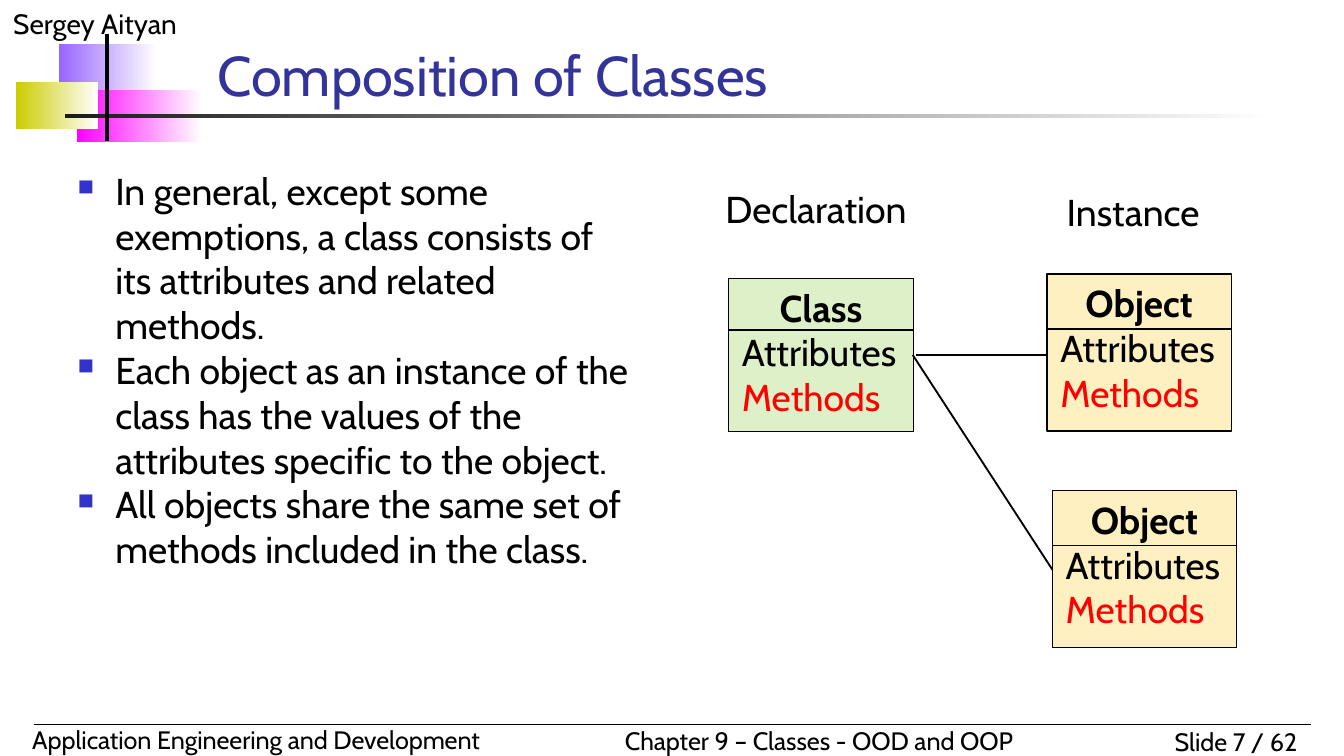
import pptx
import pptx.dml.color
import pptx.enum.shapes
import pptx.enum.text
import pptx.oxml.ns
import pptx.util
import lxml.etree

Cm, Pt = pptx.util.Cm, pptx.util.Pt
ALIGN = pptx.enum.text.PP_ALIGN
ANCHOR = pptx.enum.text.MSO_ANCHOR
RECTANGLE = pptx.enum.shapes.MSO_SHAPE.RECTANGLE
STRAIGHT = pptx.enum.shapes.MSO_CONNECTOR.STRAIGHT

FONT = "Cabin"
BLACK, RED, INDIGO, BLUE = "000000", "FF0000", "333399", "3333CC"
GREEN, CREAM = "DDF0C8", "FFF0C1"


def color(hex_text):
    return pptx.dml.color.RGBColor.from_string(hex_text)


def lengths(box):
    return [Cm(value) for value in box]


def add_span(para, text, size, ink=BLACK, bold=False):
    span = para.add_run()
    span.text = text
    span.font.name = FONT
    span.font.size = Pt(size)
    span.font.bold = bold
    span.font.color.rgb = color(ink)


def add_label(page, box, text, size, ink=BLACK, align=ALIGN.LEFT,
              anchor=ANCHOR.TOP, wrap=True):
    frame = page.shapes.add_textbox(*lengths(box)).text_frame
    frame.word_wrap = wrap
    frame.vertical_anchor = anchor
    frame.paragraphs[0].alignment = align
    add_span(frame.paragraphs[0], text, size, ink)


def add_line(page, start, end, width=1):
    line = page.shapes.add_connector(STRAIGHT, *lengths(start + end))
    line.line.color.rgb = color(BLACK)
    line.line.width = Pt(width)
    lxml.etree.SubElement(line._element.spPr, pptx.oxml.ns.qn("a:effectLst"))


def add_fade(page, box, start_color):
    """Bar that fades to white from left to right."""
    bar = page.shapes.add_shape(RECTANGLE, *lengths(box))
    bar.shadow.inherit = False
    bar.line.fill.background()
    bar.fill.gradient()
    bar.fill.gradient_angle = 0
    for stop, ink in zip(bar.fill.gradient_stops, (start_color, "FFFFFF")):
        stop.color.rgb = color(ink)


def add_bullet(para):
    props = para._p.get_or_add_pPr()
    indent = Cm(0.71)
    props.set("marL", str(indent))
    props.set("indent", str(-indent))
    bullet_color = lxml.etree.SubElement(props, pptx.oxml.ns.qn("a:buClr"))
    lxml.etree.SubElement(bullet_color, pptx.oxml.ns.qn("a:srgbClr"), val=BLUE)
    lxml.etree.SubElement(props, pptx.oxml.ns.qn("a:buSzPct"), val="60000")
    lxml.etree.SubElement(props, pptx.oxml.ns.qn("a:buChar"), char="■")


def add_header(page, box):
    left, top, width, height = box
    # Corner ornament and title rule
    add_fade(page, (left + 1.12, top + 0.84, 1.85, 0.99), "9966FF")
    add_fade(page, (left + 1.45, top + 1.7, 2.36, 0.99), "FF00FF")
    add_fade(page, (left + 0.3, top + 1.55, 1.55, 0.89), "CCCC00")
    add_fade(page, (left + 1.22, top + 2.16, width - 2.54, 0.08), "1C1C1C")
    add_line(page, (left + 2.03, top + 0.64), (left + 2.03, top + height), 2)
    # Author and title
    add_label(page, (left, top, 6.35, 0.89), "Sergey Aityan", 15)
    add_label(page, (left + 3.86, top + 0.79, 18.67, 1.37),
              "Composition of Classes", 30, INDIGO, anchor=ANCHOR.BOTTOM)


def add_footer(page, box):
    left, top, width, height = box
    add_line(page, (left, top), (left + width, top), 0.75)
    add_label(page, (left - 0.28, top - 0.13, 9.4, height),
              "Application Engineering and Development", 13.5)
    add_label(page, (left + 10.92, top - 0.1, 8.23, height),
              "Chapter 9 – Classes - OOD and OOP", 13.5, wrap=False)
    add_label(page, (left + width - 3.81, top - 0.08, 3.81, height),
              "Slide 7 / 62", 13.5, align=ALIGN.RIGHT)


def add_points(page, box, points):
    frame = page.shapes.add_textbox(*lengths(box)).text_frame
    frame.word_wrap = True
    for index, point in enumerate(points):
        para = frame.add_paragraph() if index else frame.paragraphs[0]
        add_bullet(para)
        add_span(para, point, 20)


def add_class_card(page, box, name, fill):
    left, top, width, height = box
    card = page.shapes.add_shape(RECTANGLE, *lengths(box))
    card.shadow.inherit = False
    card.fill.solid()
    card.fill.fore_color.rgb = color(fill)
    card.line.color.rgb = color(BLACK)
    card.line.width = Pt(0.75)
    frame = card.text_frame
    frame.word_wrap = False
    frame.vertical_anchor = ANCHOR.TOP
    rows = ((name, BLACK, ALIGN.CENTER), ("Attributes", BLACK, ALIGN.LEFT),
            ("Methods", RED, ALIGN.LEFT))
    for index, (text, ink, align) in enumerate(rows):
        para = frame.add_paragraph() if index else frame.paragraphs[0]
        para.alignment = align
        add_span(para, text, 20, ink, bold=index == 0)
    # Divider under the name
    divider = top + height - 1.93
    add_line(page, (left, divider), (left + width, divider))


def add_diagram(page, box):
    left, top, width, height = box
    card_width, card_height = 3.48, 2.97
    first = left + 6.33
    second = left + width - card_width
    # Column headings
    add_label(page, (left, top, 4.11, 1.12), "Declaration", 20)
    add_label(page, (left + 6.45, top + 0.05, 3.25, 1.12), "Instance", 20)
    # Class and its objects
    add_class_card(page, (left + 0.31, top + 1.86, 3.5, 2.9), "Class", GREEN)
    add_class_card(page, (first, top + 1.78, card_width, card_height),
                   "Object", CREAM)
    add_class_card(page, (second, top + height - card_height, card_width,
                          card_height), "Object", CREAM)
    # Links from the class to each object
    link_y = top + 3.31
    add_line(page, (left + 3.86, link_y), (first, link_y))
    add_line(page, (left + 3.79, link_y), (second, top + 7.37))


def main():
    deck = pptx.Presentation()
    deck.slide_width, deck.slide_height = Cm(25.4), Cm(14.29)
    page = deck.slides.add_slide(deck.slide_layouts[6])
    add_header(page, (0, 0, 25.4, 2.67))
    add_footer(page, (0.64, 13.69, 24.13, 0.84))
    add_points(page, (1.22, 3.05, 11.07, 8.74), (
        "In general, except some exemptions, a class consists of its "
        "attributes and related methods.",
        "Each object as an instance of the class has the values of the "
        "attributes specific to the object.",
        "All objects share the same set of methods included in the class.",
    ))
    add_diagram(page, (13.46, 3.4, 9.91, 8.84))
    deck.save("out.pptx")


if __name__ == "__main__":
    main()
